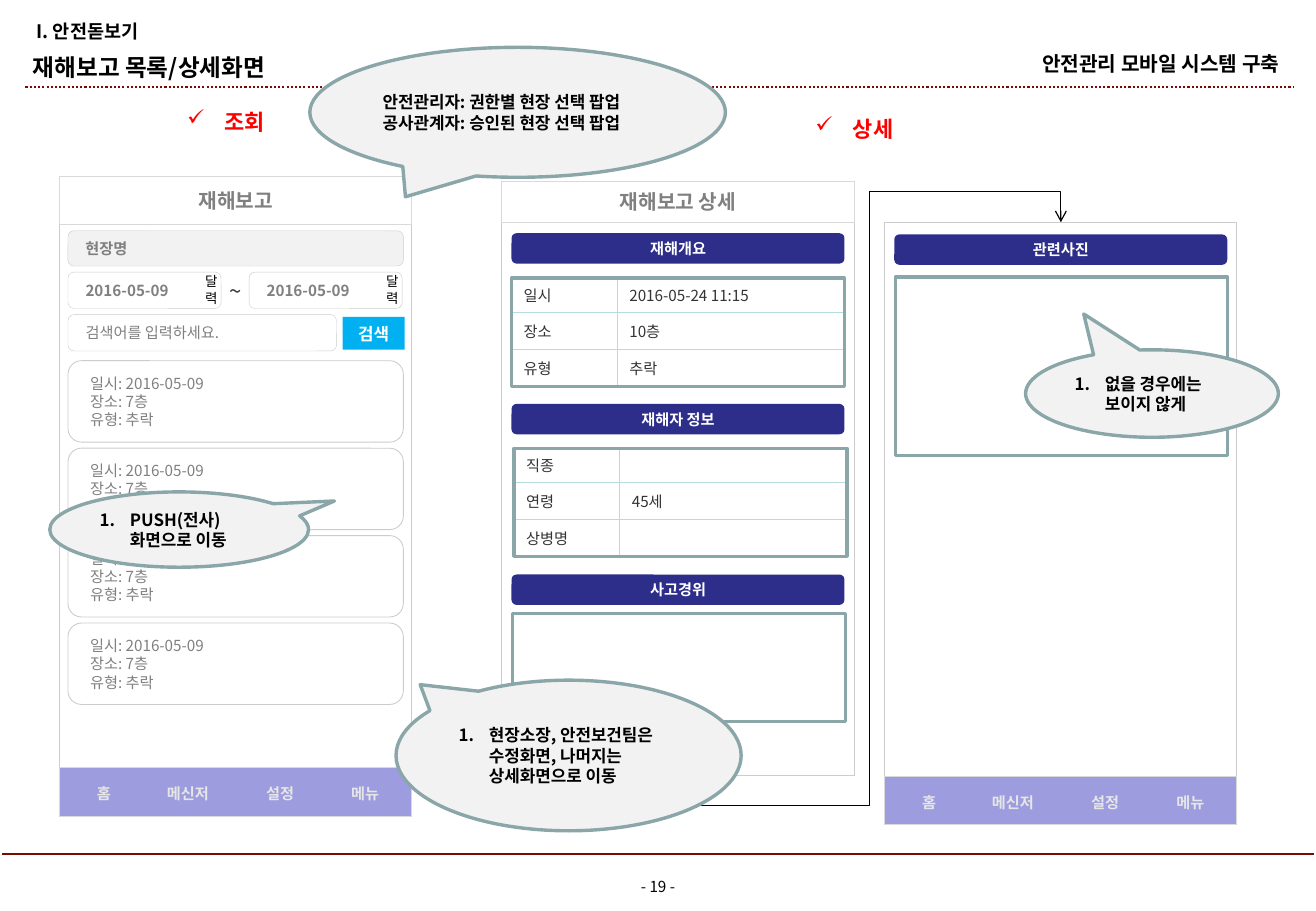
from lxml import etree
from pptx import Presentation
from pptx import util as u
from pptx.dml.color import RGBColor
from pptx.enum import shapes, text
from pptx.oxml.ns import qn

FONT = "Noto Sans CJK KR"
COLORS = {
    "black": "000000", "white": "FFFFFF", "maroon": "7D0905", "red": "FF0000",
    "gray": "808080", "dark": "333333", "outline": "CCCCCC", "title_line": "D9D9D9",
    "pale": "F2F2F2", "navy": "2D2D8A", "sky": "00B0F0", "teal": "8AA6A8",
    "grid": "B6DCDF", "menu": "9C9CDF", "menu_text": "E6E6E6",
}
RECT = shapes.MSO_SHAPE.RECTANGLE
ROUND = shapes.MSO_SHAPE.ROUNDED_RECTANGLE
CALLOUT = shapes.MSO_SHAPE.OVAL_CALLOUT
LEFT, CENTER, RIGHT = text.PP_ALIGN.LEFT, text.PP_ALIGN.CENTER, text.PP_ALIGN.RIGHT


def color(name):
    return RGBColor.from_string(COLORS[name])


def style_paragraph(paragraph, size, ink, bold=False, align=LEFT, bullet=None):
    paragraph.alignment = align
    if bullet:
        properties = paragraph._p.get_or_add_pPr()
        indent = u.Inches(0.25 if bullet == "1." else 0.31)
        properties.set("marL", str(indent))
        properties.set("indent", str(-indent))
        if bullet == "1.":
            etree.SubElement(properties, qn("a:buAutoNum"), type="arabicPeriod")
        else:
            etree.SubElement(properties, qn("a:buChar"), char=bullet)
    font = paragraph.font
    font.name, font.size, font.bold = FONT, u.Pt(size), bold
    font.color.rgb = color(ink)
    etree.SubElement(font._element, qn("a:ea"), typeface=FONT)


def write(shape, lines, size, ink, bold=False, align=LEFT, bullet=None,
          inset=0.1, anchor=text.MSO_ANCHOR.MIDDLE):
    frame = shape.text_frame
    frame.word_wrap = True
    frame.vertical_anchor = anchor
    frame.margin_left = frame.margin_right = u.Inches(inset)
    frame.margin_top = frame.margin_bottom = 0
    for index, line in enumerate(lines.split("\n")):
        paragraph = frame.paragraphs[0] if index == 0 else frame.add_paragraph()
        paragraph.text = line
        style_paragraph(paragraph, size, ink, bold, align, bullet)


def add_label(slide, box, lines, size, ink, **options):
    write(slide.shapes.add_textbox(*map(u.Inches, box)), lines, size, ink, **options)


def add_box(slide, box, kind=RECT, fill=None, line=None, width=0.5):
    shape = slide.shapes.add_shape(kind, *map(u.Inches, box))
    shape.shadow.inherit = False
    if fill:
        shape.fill.solid()
        shape.fill.fore_color.rgb = color(fill)
    else:
        shape.fill.background()
    if line:
        shape.line.color.rgb = color(line)
        shape.line.width = u.Pt(width)
    else:
        shape.line.fill.background()
    return shape


def add_line(slide, ends, ink, width, kind=shapes.MSO_CONNECTOR.STRAIGHT):
    connector = slide.shapes.add_connector(kind, *map(u.Inches, ends))
    connector.line.color.rgb = color(ink)
    connector.line.width = u.Pt(width)
    etree.SubElement(connector._element.spPr, qn("a:effectLst"))
    return connector


def add_page_frame(slide, width):
    add_label(slide, (5.08, 7.17, 0.67, 0.25), "- 19 -", 9, "black", align=CENTER, inset=0)
    add_line(slide, (0.02, 7.03, width - 0.02, 7.03), "maroon", 0.75)
    rule = add_line(slide, (0.21, 0.72, width - 0.19, 0.72), "maroon", 1.25)
    dash = etree.Element(qn("a:prstDash"), val="sysDot")
    rule.line._ln.find(qn("a:solidFill")).addnext(dash)
    add_label(slide, (7.27, 0.4, 3.26, 0.24), "안전관리 모바일 시스템 구축", 12, "black",
              bold=True, align=RIGHT, inset=0)
    add_label(slide, (0.27, 0.43, 4.4, 0.24), "재해보고 목록/상세화면", 14, "black",
              bold=True, inset=0)
    add_label(slide, (0.3, 0.15, 3.55, 0.21), "I. 안전돋보기", 11, "black", bold=True, inset=0)
    for left, top, heading in ((0.39, 0.84, "조회"), (5.56, 0.9, "상세")):
        add_label(slide, (left, top, 2.94, 0.32), heading, 13, "red",
                  bold=True, align=CENTER, bullet="✓")


def add_screen(slide, box, title=None, title_height=0.4):
    left, top, width, height = box
    add_box(slide, box, fill="white", line="outline")
    if title:
        bar = add_box(slide, (left, top, width, title_height), fill="white", line="title_line")
        write(bar, title, 12, "gray", bold=True, align=CENTER)


def add_menu(slide, left, top):
    add_box(slide, (left, top, 2.9, 0.4), fill="menu", line="title_line")
    for offset, name in ((0.02, "홈"), (0.71, "메신저"), (1.47, "설정"), (2.17, "메뉴")):
        add_label(slide, (left + offset, top + 0.09, 0.69, 0.25), name, 9, "menu_text",
                  bold=True, align=CENTER)


def add_field(slide, box, label, fill=None, bold=True):
    field = add_box(slide, box, ROUND, fill, "outline", 0.25)
    write(field, label, 9, "gray", bold=bold, inset=0.13)


def add_list_screen(slide, box):
    left, top, width, height = box
    add_screen(slide, box, "재해보고")
    inner = left + 0.07
    add_field(slide, (inner, top + 0.45, 2.76, 0.29), "현장명", "pale")
    for start in (inner, inner + 1.49):
        add_field(slide, (start, top + 0.79, 1.26, 0.3), "2016-05-09")
        add_label(slide, (start + 0.98, top + 0.75, 0.4, 0.37), "달력", 8, "black", align=CENTER)
    add_label(slide, (left + 1.31, top + 0.78, 0.27, 0.32), "~", 13, "dark",
              align=CENTER, inset=0)
    add_field(slide, (inner, top + 1.14, 2.21, 0.3), "검색어를 입력하세요.", bold=False)
    button = add_box(slide, (left + 2.33, top + 1.16, 0.51, 0.27), fill="sky")
    write(button, "검색", 10, "white", bold=True, align=CENTER, inset=0.05)
    for index in range(4):
        card = add_box(slide, (inner, top + 1.52 + 0.72 * index, 2.76, 0.67),
                       ROUND, "white", "outline")
        write(card, "일시: 2016-05-09\n장소: 7층\n유형: 추락", 9, "gray", inset=0.15)
    add_menu(slide, left, top + height - 0.4)


def add_section_bar(slide, left, top, title):
    bar = add_box(slide, (left, top, 2.74, 0.25), ROUND, "navy")
    write(bar, title, 9, "white", bold=True, align=CENTER)


def add_info_table(slide, box, rows):
    table = slide.shapes.add_table(len(rows), 2, *map(u.Inches, box)).table
    table.first_row = table.horz_banding = False
    table.columns[0].width, table.columns[1].width = u.Inches(0.87), u.Inches(box[2] - 0.87)
    for row, height, values in zip(table.rows, (0.28, 0.31, 0.3), rows):
        row.height = u.Inches(height)
        for cell, value in zip(row.cells, values):
            cell.margin_top = cell.margin_bottom = 0
            cell.vertical_anchor = text.MSO_ANCHOR.MIDDLE
            cell.fill.background()
            paragraph = cell.text_frame.paragraphs[0]
            paragraph.text = value
            style_paragraph(paragraph, 9, "dark")
            if not value:
                etree.SubElement(paragraph._p, qn("a:endParaRPr"), sz="900")
            for index, side in enumerate(("lnL", "lnR", "lnT", "lnB")):
                border = etree.Element(qn("a:" + side), w=str(u.Pt(0.75)))
                fill = etree.SubElement(border, qn("a:solidFill"))
                etree.SubElement(fill, qn("a:srgbClr"), val=COLORS["grid"])
                cell._tc.get_or_add_tcPr().insert(index, border)
    add_box(slide, box, line="teal", width=2)


def add_detail_screen(slide, box):
    left, top, width, height = box
    add_screen(slide, box, "재해보고 상세", 0.34)
    for index, title in enumerate(("재해개요", "재해자 정보", "사고경위")):
        add_section_bar(slide, left + 0.08, top + 0.43 + 1.405 * index, title)
    add_info_table(slide, (left + 0.08, top + 0.8, 2.74, 0.89),
                   (("일시", "2016-05-24 11:15"), ("장소", "10층"), ("유형", "추락")))
    add_info_table(slide, (left + 0.1, top + 2.2, 2.74, 0.89),
                   (("직종", ""), ("연령", "45세"), ("상병명", "")))
    add_box(slide, (left + 0.09, top + 3.56, 2.74, 0.89), line="teal", width=2)


def add_photo_screen(slide, box):
    left, top, width, height = box
    add_screen(slide, box)
    add_section_bar(slide, left + 0.08, top + 0.1, "관련사진")
    add_box(slide, (left + 0.09, top + 0.45, 2.73, 1.47), line="teal", width=2)
    add_menu(slide, left, top + height - 0.4)


def add_screen_link(slide, box):
    left, top, width, height = box
    link = add_line(slide, (left, top, left + width, top + height), "black", 0.75,
                    shapes.MSO_CONNECTOR.ELBOW)
    properties = link._element.spPr
    for name, value in (("rot", "5400000"), ("flipH", "1"), ("flipV", "1")):
        properties.find(qn("a:xfrm")).set(name, value)
    geometry = properties.find(qn("a:prstGeom"))
    geometry.set("prst", "bentConnector5")
    guides = geometry.find(qn("a:avLst"))
    for index, value in enumerate((-5500, 50000, 105500), 1):
        etree.SubElement(guides, qn("a:gd"), name=f"adj{index}", fmla=f"val {value}")
    etree.SubElement(link.line._ln, qn("a:tailEnd"), type="arrow")


def add_callout(slide, box, tip, lines, bullet="1."):
    callout = add_box(slide, box, CALLOUT, "pale", "teal", 2)
    callout.adjustments[0], callout.adjustments[1] = tip
    write(callout, lines, 10, "black", bold=True, bullet=bullet)


def main():
    presentation = Presentation()
    presentation.slide_width, presentation.slide_height = u.Inches(10.83), u.Inches(7.5)
    slide = presentation.slides.add_slide(presentation.slide_layouts[6])
    add_page_frame(slide, 10.83)
    add_list_screen(slide, (0.49, 1.45, 2.9, 5.27))
    add_screen_link(slide, (4.88, 2.53, 4.55, 3.15))
    add_detail_screen(slide, (4.13, 1.49, 2.9, 4.89))
    add_photo_screen(slide, (7.28, 1.83, 2.9, 4.96))
    add_callout(slide, (8.44, 2.88, 2.08, 0.72), (-0.27, -0.91), "없을 경우에는 보이지 않게")
    add_callout(slide, (3.26, 5.6, 2.84, 1.24), (-0.43, -0.47),
                "현장소장, 안전보건팀은 수정화면, 나머지는 상세화면으로 이동")
    add_callout(slide, (2.55, 0.39, 3.42, 1.07), (-0.27, 0.65),
                "안전관리자: 권한별 현장 선택 팝업\n공사관계자: 승인된 현장 선택 팝업", None)
    add_callout(slide, (0.41, 4.05, 2.13, 0.62), (0.6, -0.38), "PUSH(전사) 화면으로 이동")
    presentation.save("out.pptx")


if __name__ == "__main__":
    main()
